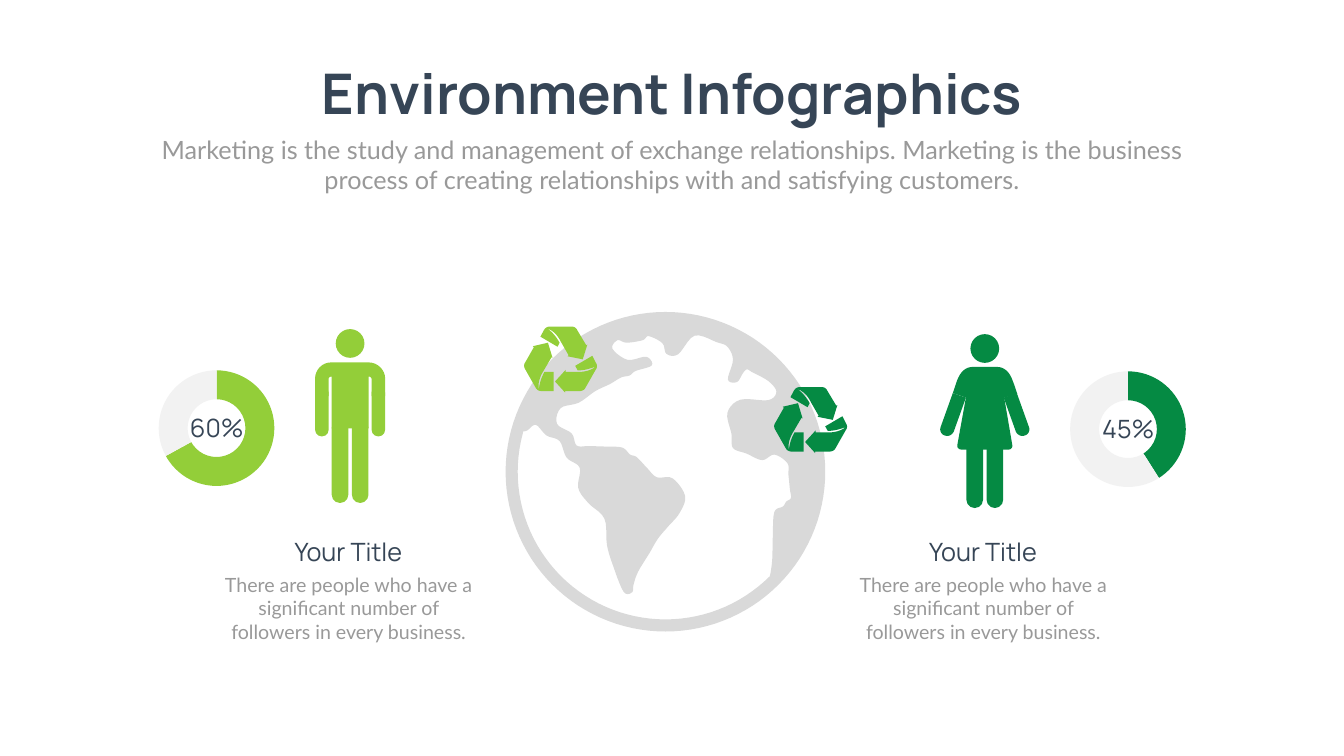
from math import cos, radians, sin

from pptx import Presentation
from pptx.chart.data import CategoryChartData
from pptx.dml.color import RGBColor
from pptx.enum.chart import XL_CHART_TYPE
from pptx.enum.shapes import MSO_SHAPE
from pptx.enum.text import MSO_ANCHOR, MSO_AUTO_SIZE, PP_ALIGN
from pptx.util import Inches, Pt

# The slide is a grid of 2666 columns by 1500 rows; every length counts cells.
COLS, ROWS = 2666, 1500
CELL = Inches(0.01)
FINE = 10  # freeform steps per cell
COLORS = {"ink": "364556", "muted": "999999", "lime": "93CE39",
          "green": "058A43", "globe": "D9D9D9", "track": "F2F2F2"}

MAN_BODY = ("M 0 100 C 0 83 14 68 32 68 L 106 68 C 124 68 139 83 139 100 L 139 135 L 112 135 "
            "L 112 101 C 112 98 109 96 106 96 L 106 199 L 33 199 L 33 96 "
            "C 30 96 27 98 27 100 L 27 135 L 0 135")
WOMAN_BODY = ("M 51 128 L 25 119 C 25 119 31 102 33 95 C 40 77 50 67 65 67 L 112 67 "
              "C 127 67 138 77 144 95 C 147 102 153 121 153 121 L 127 128 L 143 222 "
              "C 144 227 140 231 136 231 L 42 231 C 37 231 33 227 34 222")
WOMAN_ARM = ("M 1 186 L 25 119 L 51 128 L 27 195 C 24 202 16 206 9 203 "
             "C 2 201 -2 193 1 186")
RECYCLE_ARROWS = (
    "M 142 72 L 135 58 L 101 78 L 106 87 C 118 87 130 84 142 79 C 129 91 107 90 107 90 "
    "L 82 90 L 82 86 L 61 109 L 81 131 L 81 128 L 110 128 C 114 128 119 126 121 122 "
    "L 142 85 C 145 81 145 76 142 72",
    "M 70 32 C 64 21 56 11 46 4 C 63 9 72 29 72 29 L 88 57 L 86 59 L 116 65 L 125 36 "
    "L 123 37 L 105 7 C 103 2 98 0 94 0 L 51 0 C 46 0 42 2 39 7 L 32 20 L 66 40",
    "M 40 90 C 34 101 30 113 29 125 C 25 108 37 90 37 90 L 54 61 L 56 62 L 47 32 L 17 39 "
    "L 19 41 L 2 71 C -1 75 -1 80 2 85 L 23 122 C 25 126 30 128 34 128 L 58 128 L 58 90",
)
COAST = """35,237 43,235 60,224 81,245 107,256 121,289 147,309 144,349 164,379 196,410
201,462 213,503 234,555 251,556 254,540 263,515 285,479 302,450 322,426 345,399 356,365
331,330 300,328 281,310 260,288 247,283 231,269 195,267 165,266 141,265 131,241 102,222
109,191 145,180 178,157 207,143 229,130 246,126 258,117 290,106 279,89 242,95 212,73
222,56 240,61 272,56 284,48 311,62 319,83 342,84 375,47 419,60 440,69 451,95 441,134
459,139 471,121 479,114 490,120 521,137 537,158 521,175 466,174 440,200 448,242 451,270
478,281 509,294 533,283 559,300 561,323 564,352 566,369 557,376 550,386 533,397 530,445
529,489 526,515 524,524"""


def color(name):
    return RGBColor.from_string(COLORS[name])


def place(sp, x, y, w, h):
    sp.left, sp.top, sp.width, sp.height = (round(v * CELL) for v in (x, y, w, h))


def paint(sp, name):
    sp.shadow.inherit = False
    sp.fill.solid()
    sp.fill.fore_color.rgb = color(name)
    sp.line.fill.background()


def write(sp, text, size, font, ink, bold=False, wrap=True):
    tf = sp.text_frame
    tf.word_wrap = wrap
    tf.auto_size = MSO_AUTO_SIZE.NONE
    tf.vertical_anchor = MSO_ANCHOR.TOP
    p = tf.paragraphs[0]
    p.alignment = PP_ALIGN.CENTER
    p.space_before = Pt(0)
    r = p.add_run()
    r.text = text
    r.font.size, r.font.name, r.font.bold = Pt(size), font, bold
    r.font.color.rgb = color(ink)


def add_label(s, box, text, **fmt):
    sp = s.shapes.add_textbox(0, 0, 0, 0)
    place(sp, *box)
    write(sp, text, **fmt)


def add_preset(s, kind, box, fill):
    sp = s.shapes.add_shape(kind, 0, 0, 0, 0)
    place(sp, *box)
    paint(sp, fill)
    return sp


def add_pill(s, box, fill):
    add_preset(s, MSO_SHAPE.ROUNDED_RECTANGLE, box, fill).adjustments[0] = 0.5


def bezier(a, b, c, d, steps=8):
    """Points on a cubic curve, without its start."""
    for i in range(1, steps + 1):
        t = i / steps
        u = 1 - t
        yield tuple(u**3 * p + 3 * u * u * t * q + 3 * u * t * t * v + t**3 * w
                    for p, q, v, w in zip(a, b, c, d))


def trace(path):
    """Turn M, L and C commands into a list of points."""
    points = []
    for command in path.replace("L", "|L").replace("C", "|C").split("|"):
        xy = [float(n) for n in command.split()[1:]]
        pairs = list(zip(xy[::2], xy[1::2]))
        points += bezier(points[-1], *pairs) if len(pairs) == 3 else pairs
    return points


def smooth(points):
    """Run a Catmull-Rom curve through the points."""
    ends = [points[0], *points, points[-1]]
    curve = [points[0]]
    for a, b, c, d in zip(ends, ends[1:], ends[2:], ends[3:]):
        first = [q + (r - p) / 6 for p, q, r in zip(a, b, c)]
        second = [q - (r - p) / 6 for p, q, r in zip(b, c, d)]
        curve += bezier(b, first, second, c, steps=5)
    return curve


def arc(center, radius, start, end):
    return [(center + radius * cos(radians(a)), center + radius * sin(radians(a)))
            for a in range(start, end, 3)]


def add_outline(s, x, y, contours, fill):
    contours = [[(px * FINE, py * FINE) for px, py in c] for c in contours]
    fb = s.shapes.build_freeform(*contours[0][0], scale=CELL / FINE)
    for i, points in enumerate(contours):
        if i:
            fb.move_to(*points[0])
        fb.add_line_segments(points[1:], close=True)
    paint(fb.convert_to_shape(round(x * CELL), round(y * CELL)), fill)


def add_header(s, title, subtitle):
    place(s.shapes.title, 570, 112, 1527, 145)
    write(s.shapes.title, title, size=80, font="Manrope", ink="ink", bold=True, wrap=False)
    place(s.placeholders[1], 292, 261, 2082, 131)
    write(s.placeholders[1], subtitle, size=36, font="Lato", ink="muted")


def add_globe(s, x, y, size):
    center = size / 2
    coast = [tuple(map(float, pair.split(","))) for pair in COAST.split()]
    ocean = arc(center, center - 24, 45, 195) + smooth(coast)
    add_outline(s, x, y, [arc(center, center, 0, 360), ocean], "globe")


def add_head_and_legs(s, x, y, width, fill):
    middle = x + width / 2
    add_preset(s, MSO_SHAPE.OVAL, (middle - 28.5, y + 2, 57, 57), fill)
    for offset in (-36.5, 3.5):
        add_pill(s, (middle + offset, y + 182, 33, 165), fill)


def add_man(s, x, y, fill):
    add_head_and_legs(s, x, y, 139, fill)
    for offset in (0, 112):
        add_pill(s, (x + offset, y + 115, 27, 100), fill)
    add_outline(s, x, y, [trace(MAN_BODY)], fill)


def add_woman(s, x, y, fill):
    add_head_and_legs(s, x, y, 177, fill)
    arm = trace(WOMAN_ARM)
    for points in (arm, [(177 - px, py) for px, py in arm], trace(WOMAN_BODY)):
        add_outline(s, x, y, [points], fill)


def add_recycle(s, x, y, fill):
    for path in RECYCLE_ARROWS:
        add_outline(s, x, y, [trace(path)], fill)


def add_caption(s, x, y, title, text):
    add_label(s, (x, y + 71, 511, 151), text, size=28, font="Lato", ink="muted")
    add_label(s, (x + 68, y, 374, 71), title, size=36, font="Manrope", ink="ink")


def add_donut(s, x, y, share, label, fill):
    data = CategoryChartData()
    data.categories = ["1", "2"]
    data.add_series("Series 1", (share, 100 - share))
    frame = s.shapes.add_chart(XL_CHART_TYPE.DOUGHNUT, 0, 0, CELL * 275, CELL * 257, data)
    place(frame, x, y, 275, 257)
    chart = frame.chart
    chart.has_legend = chart.has_title = False
    chart.font.size, chart.font.name = Pt(10), "Calibri"
    chart.font.color.rgb = color("muted")
    plot = chart.plots[0]
    plot.vary_by_categories = True
    for hole in plot._element.xpath("c:holeSize"):
        hole.set("val", "75")
    for i, name in enumerate((fill, "track")):
        point = plot.series[0].points[i].format
        point.fill.solid()
        point.fill.fore_color.rgb = color(name)
        point.line.fill.background()
    add_label(s, (x + 61, y + 92, 154, 71), label, size=36, font="Manrope", ink="ink")


def main():
    prs = Presentation()
    prs.slide_width, prs.slide_height = CELL * COLS, CELL * ROWS
    s = prs.slides.add_slide(prs.slide_layouts[0])
    add_header(s, "Environment Infographics",
               "Marketing is the study and management of exchange relationships. Marketing is "
               "the business process of creating relationships with and satisfying customers.")
    add_globe(s, 1003, 619, 634)
    add_man(s, 625, 651, "lime")
    add_woman(s, 1865, 661, "green")
    for x in (1695, 436):
        add_caption(s, x, 1060, "Your Title", "There are people who have a significant "
                    "number of followers in every business.")
    add_recycle(s, 1040, 648, "lime")
    add_recycle(s, 1536, 768, "green")
    add_donut(s, 292, 721, 67, "60%", "lime")
    add_donut(s, 2100, 723, 41, "45%", "green")
    prs.save("out.pptx")


if __name__ == "__main__":
    main()
